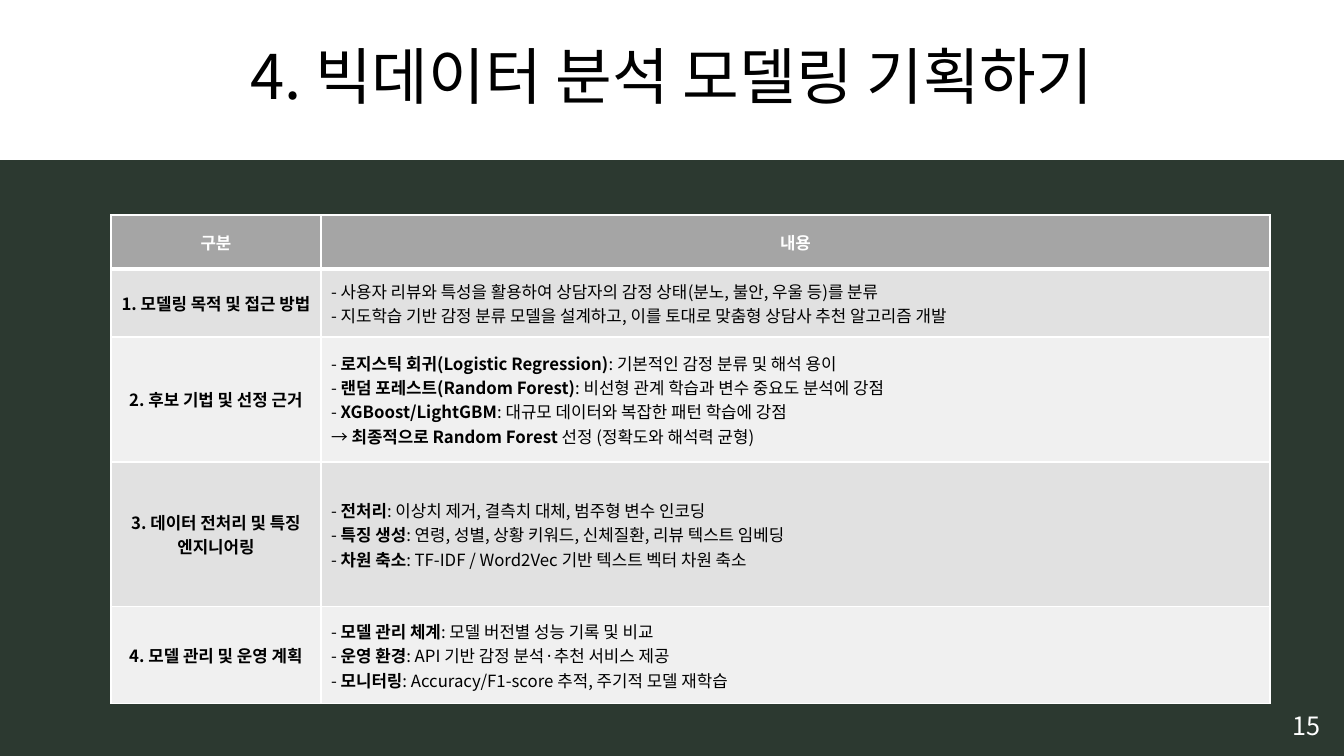
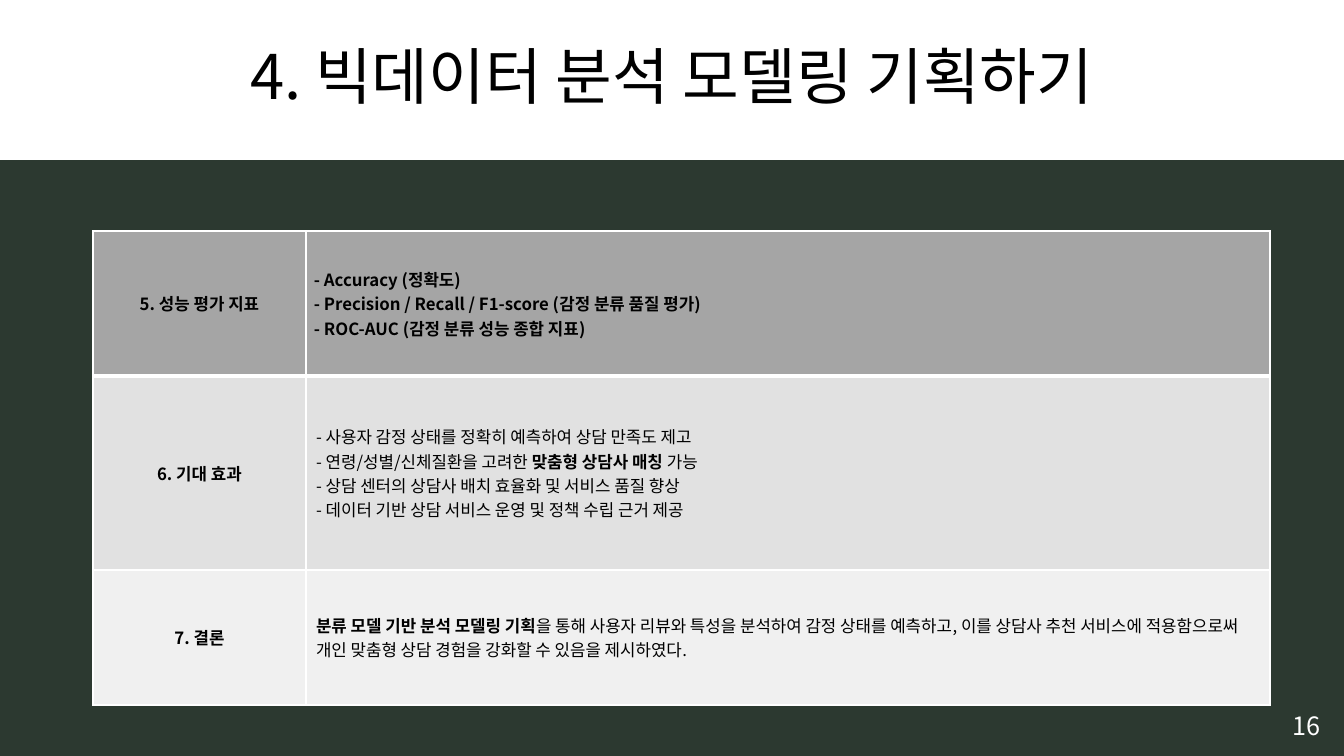
from lxml import etree
from pptx import Presentation
from pptx import util as u
from pptx.dml.color import RGBColor
from pptx.enum import text as t
from pptx.oxml.ns import qn

# Content: ** switches bold on and off
TITLE = "4. 빅데이터 분석 모델링 기획하기"
PLANS = [
    {
        "page": "15", "left": 111, "top": 215,
        "columns": [210, 949], "heights": [54, 68, 125, 145, 97],
        "rows": [
            ("**구분**", ["**내용**"]),
            ("**1. 모델링 목적 및 접근 방법**", [
                "- 사용자 리뷰와 특성을 활용하여 상담자의 감정 상태(분노, 불안, 우울 등)를 분류",
                "- 지도학습 기반 감정 분류 모델을 설계하고, 이를 토대로 맞춤형 상담사 추천 알고리즘 개발",
            ]),
            ("**2. 후보 기법 및 선정 근거**", [
                "- **로지스틱 회귀(Logistic Regression)**: 기본적인 감정 분류 및 해석 용이",
                "- **랜덤 포레스트(Random Forest)**: 비선형 관계 학습과 변수 중요도 분석에 강점",
                "- **XGBoost/LightGBM**: 대규모 데이터와 복잡한 패턴 학습에 강점",
                "→ **최종적으로 Random Forest** 선정 (정확도와 해석력 균형)",
            ]),
            ("**3. 데이터 전처리 및 특징 엔지니어링**", [
                "- **전처리**: 이상치 제거, 결측치 대체, 범주형 변수 인코딩",
                "- **특징 생성**: 연령, 성별, 상황 키워드, 신체질환, 리뷰 텍스트 임베딩",
                "- **차원 축소**: TF-IDF / Word2Vec 기반 텍스트 벡터 차원 축소",
            ]),
            ("**4. 모델 관리 및 운영 계획**", [
                "- **모델 관리 체계**: 모델 버전별 성능 기록 및 비교",
                "- **운영 환경**: API 기반 감정 분석·추천 서비스 제공",
                "- **모니터링**: Accuracy/F1-score 추적, 주기적 모델 재학습",
            ]),
        ],
        "column_heads": True,
    },
    {
        "page": "16", "left": 93, "top": 231,
        "columns": [213, 964], "heights": [145, 194, 135],
        "rows": [
            ("**5. 성능 평가 지표**", [
                "**- Accuracy (정확도)**",
                "**- Precision / Recall / F1-score (감정 분류 품질 평가)**",
                "**- ROC-AUC (감정 분류 성능 종합 지표)**",
            ]),
            ("**6. 기대 효과**", [
                "- 사용자 감정 상태를 정확히 예측하여 상담 만족도 제고",
                "- 연령/성별/신체질환을 고려한 **맞춤형 상담사 매칭** 가능",
                "- 상담 센터의 상담사 배치 효율화 및 서비스 품질 향상",
                "- 데이터 기반 상담 서비스 운영 및 정책 수립 근거 제공",
            ]),
            ("**7. 결론**", [
                "**분류 모델 기반 분석 모델링 기획**을 통해 사용자 리뷰와 특성을 분석하여 "
                "감정 상태를 예측하고, 이를 상담사 추천 서비스에 적용함으로써 "
                "개인 맞춤형 상담 경험을 강화할 수 있음을 제시하였다.",
            ]),
        ],
        "column_heads": False,
    },
]

# Shared style
FONT = "Noto Sans CJK KR"
GREEN = RGBColor(0x2C, 0x39, 0x30)
WHITE = RGBColor(0xFF, 0xFF, 0xFF)
BLACK = RGBColor(0, 0, 0)
HEAD_GREY = RGBColor(0xA5, 0xA5, 0xA5)
BANDS = [RGBColor(0xF0, 0xF0, 0xF0), RGBColor(0xE1, 0xE1, 0xE1)]
WIDTH, HEIGHT, BAND_HEIGHT = 1344, 756, 160
THIN, THICK = 1, 3


def px(n):
    return u.Emu(round(n * 914400 / 100.8))


def write(frame, lines, size=12, color=BLACK, align=t.PP_ALIGN.LEFT, spacing=None):
    for i, line in enumerate(lines):
        paragraph = frame.add_paragraph() if i else frame.paragraphs[0]
        paragraph.alignment = align
        paragraph.line_spacing = spacing
        for j, part in enumerate(line.split("**")):
            if not part:
                continue
            run = paragraph.add_run()
            run.text = part
            run.font.size, run.font.bold = u.Pt(size), j % 2 == 1
            run.font.color.rgb = color
            run.font.name = FONT
            east_asian = etree.SubElement(run.font._element, qn("a:ea"))
            east_asian.set("typeface", FONT)


def set_borders(cell, top, bottom):
    properties = cell._tc.get_or_add_tcPr()
    for side, width in (("L", THIN), ("R", THIN), ("T", top), ("B", bottom)):
        border = etree.SubElement(properties, qn(f"a:ln{side}"), w=str(u.Pt(width)))
        fill = etree.SubElement(border, qn("a:solidFill"))
        etree.SubElement(fill, qn("a:srgbClr"), val=str(WHITE))


def add_title(slide):
    title = slide.shapes.title
    title.left, title.top = px(0), px(0)
    title.width, title.height = px(WIDTH), px(BAND_HEIGHT)
    title.fill.solid()
    title.fill.fore_color.rgb = WHITE
    title.text_frame.auto_size = t.MSO_AUTO_SIZE.NONE
    title.text_frame.vertical_anchor = t.MSO_ANCHOR.MIDDLE
    write(title.text_frame, [TITLE], size=44, align=t.PP_ALIGN.CENTER, spacing=0.9)


def add_page_number(slide, number):
    frame = slide.shapes.add_textbox(px(1269), px(705), px(75), px(40)).text_frame
    frame.word_wrap = True
    frame.auto_size = t.MSO_AUTO_SIZE.SHAPE_TO_FIT_TEXT
    write(frame, [number], size=18, color=WHITE, align=t.PP_ALIGN.CENTER)


def add_plan(slide, plan):
    columns, heights = plan["columns"], plan["heights"]
    table = slide.shapes.add_table(
        len(heights), len(columns), px(plan["left"]), px(plan["top"]),
        px(sum(columns)), px(sum(heights))).table
    for column, width in zip(table.columns, columns):
        column.width = px(width)
    for r, (topic, details) in enumerate(plan["rows"]):
        table.rows[r].height = px(heights[r])
        heading = r == 0 and plan["column_heads"]
        for c, lines in enumerate(([topic], details)):
            cell = table.cell(r, c)
            set_borders(cell, THICK if r == 1 else THIN, THICK if r == 0 else THIN)
            cell.fill.solid()
            cell.fill.fore_color.rgb = BANDS[r % 2] if r else HEAD_GREY
            cell.vertical_anchor = t.MSO_ANCHOR.MIDDLE
            if r == 0 and c == 1 and not heading:
                cell.margin_left = cell.margin_right = px(8)
                cell.margin_top = cell.margin_bottom = px(8)
            centred = c == 0 or heading
            write(cell.text_frame, lines, color=WHITE if heading else BLACK,
                  align=t.PP_ALIGN.CENTER if centred else t.PP_ALIGN.LEFT)


def main():
    prs = Presentation()
    prs.slide_width, prs.slide_height = px(WIDTH), px(HEIGHT)
    background = prs.slide_master.background.fill
    background.solid()
    background.fore_color.rgb = GREEN
    for plan in PLANS:
        slide = prs.slides.add_slide(prs.slide_layouts[5])
        add_title(slide)
        add_page_number(slide, plan["page"])
        add_plan(slide, plan)
    prs.save("out.pptx")


if __name__ == "__main__":
    main()
